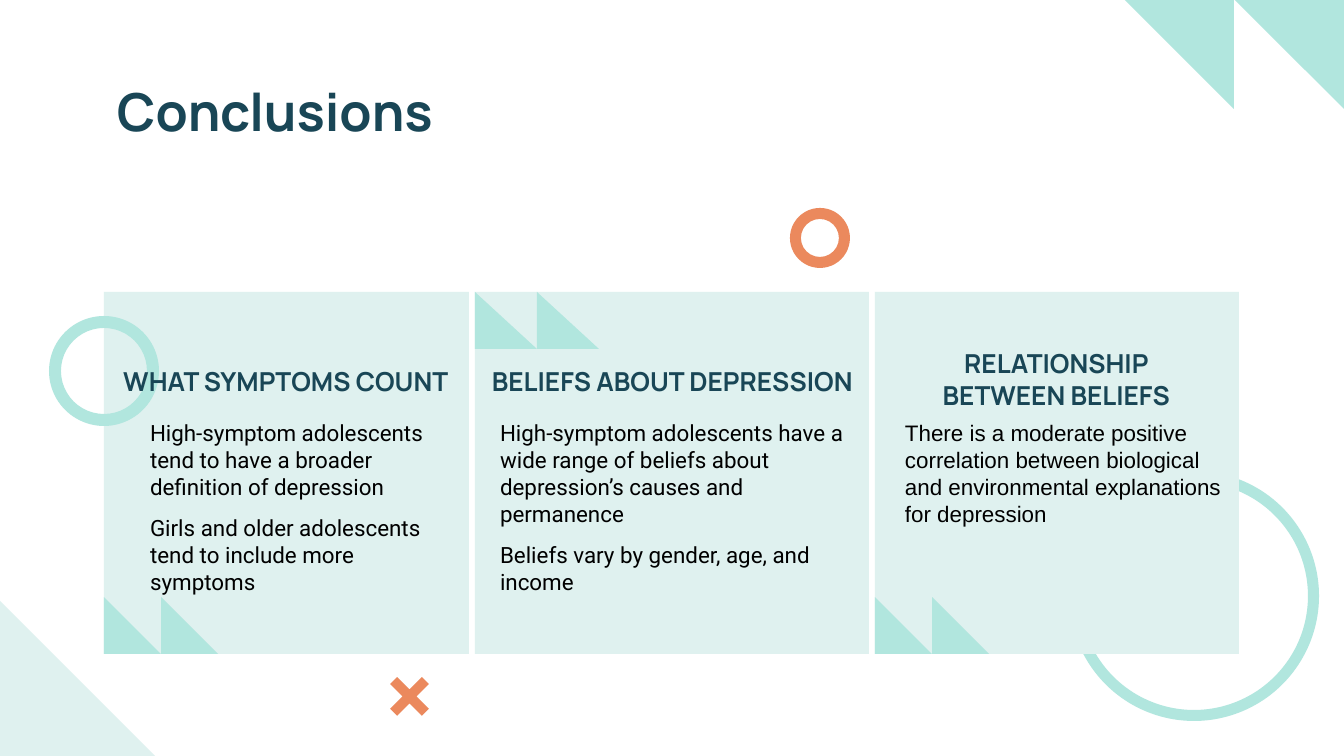
from pptx import Presentation
from pptx.dml.color import RGBColor
from pptx.enum.shapes import MSO_SHAPE as Shape
from pptx.enum.text import MSO_ANCHOR as Anchor, PP_ALIGN as Align
from pptx.util import Pt

COLORS = {"navy": "194656", "mint": "B1E6DE", "pale": "DFF1EF", "orange": "EB895D", "black": "000000"}
TITLE = "Conclusions"
CARDS = [
    {"heading": "WHAT SYMPTOMS COUNT", "heading_x": (90, 392), "body_x": (137, 301),
     "width": 365, "flag_width": 57, "flag_at_top": False, "font": "Roboto", "anchor": Anchor.TOP,
     "body": ["High-symptom adolescents tend to have a broader definition of depression",
              "Girls and older adolescents tend to include more symptoms"]},
    {"heading": "BELIEFS ABOUT DEPRESSION", "heading_x": (466, 413), "body_x": (487, 370),
     "width": 394, "flag_width": 62, "flag_at_top": True, "font": "Roboto", "anchor": Anchor.TOP,
     "body": ["High-symptom adolescents have a wide range of beliefs about depression’s causes and permanence",
              "Beliefs vary by gender, age, and income"]},
    {"heading": "RELATIONSHIP BETWEEN BELIEFS", "heading_x": (892, 329), "body_x": (892, 343),
     "width": 364, "flag_width": 57, "flag_at_top": False, "font": "Arial", "anchor": Anchor.MIDDLE,
     "body": ["There is a moderate positive correlation between biological and environmental explanations for depression"]},
]
BACK_RING = (1069, 471, 250, 11, "mint")
FRONT_RINGS = [(790, 208, 60, 11, "orange"), (49, 316, 110, 12, "mint")]
CARD_LEFT, CARD_TOP, CARD_HEIGHT, CARD_GAP = 104, 292, 362, 6
FLAG_HEIGHT = 57
HEADING_TOP, HEADING_HEIGHT, BODY_TOP, BODY_HEIGHT = 352, 54, 406, 188
INSET = 13
FORMATS = {
    "title": {"size": Pt(28), "bold": True, "name": "Manrope"},
    "heading": {"size": Pt(14), "bold": True, "name": "Manrope"},
    "body": {"size": Pt(12), "bold": False},
}
SCALE = 914400 / 134.4


def px(value):
    return round(value * SCALE)


def add_piece(slide, kind, box, color, rotation=0, adjustment=None):
    piece = slide.shapes.add_shape(kind, *map(px, box))
    piece.shadow.inherit = False
    piece.fill.solid()
    piece.fill.fore_color.rgb = RGBColor.from_string(COLORS[color])
    piece.line.fill.background()
    piece.rotation = rotation
    if adjustment is not None:
        piece.adjustments[0] = adjustment


def add_ring(slide, left, top, size, thickness, color):
    add_piece(slide, Shape.DONUT, (left, top, size, size), color, adjustment=thickness / size)


def add_text(slide, box, paragraphs, font, color, align=Align.LEFT, anchor=Anchor.TOP, after=8):
    frame = slide.shapes.add_textbox(*map(px, box)).text_frame
    settings = {"word_wrap": True, "vertical_anchor": anchor}
    settings.update({f"margin_{side}": px(INSET) for side in ("left", "top", "right", "bottom")})
    for key, value in settings.items():
        setattr(frame, key, value)
    for index, words in enumerate(paragraphs):
        paragraph = frame.add_paragraph() if index else frame.paragraphs[0]
        paragraph.alignment = align
        paragraph.space_after = Pt(after)
        run = paragraph.add_run()
        run.text = words
        for key, value in font.items():
            setattr(run.font, key, value)
        run.font.color.rgb = RGBColor.from_string(COLORS[color])


def main():
    deck = Presentation()
    deck.slide_width, deck.slide_height = px(1344), px(756)
    slide = deck.slides.add_slide(deck.slide_layouts[6])

    for left in (1235, 1125):
        add_piece(slide, Shape.RIGHT_TRIANGLE, (left, 0, 109, 109), "mint", rotation=180)
    add_piece(slide, Shape.RIGHT_TRIANGLE, (0, 601, 155, 155), "pale")
    add_text(slide, (104, 66, 1136, 85), [TITLE], FORMATS["title"], "navy", after=0)
    add_ring(slide, *BACK_RING)

    left = CARD_LEFT
    for card in CARDS:
        add_piece(slide, Shape.RECTANGLE, (left, CARD_TOP, card["width"], CARD_HEIGHT), "pale")
        flag_top = CARD_TOP if card["flag_at_top"] else CARD_TOP + CARD_HEIGHT - FLAG_HEIGHT
        for step in range(2):
            flag_left = left + step * card["flag_width"]
            add_piece(slide, Shape.RIGHT_TRIANGLE, (flag_left, flag_top, card["flag_width"], FLAG_HEIGHT), "mint")
        body_left, body_width = card["body_x"]
        add_text(slide, (body_left, BODY_TOP, body_width, BODY_HEIGHT), card["body"],
                 {**FORMATS["body"], "name": card["font"]}, "black")
        left += card["width"] + CARD_GAP

    for ring in FRONT_RINGS:
        add_ring(slide, *ring)
    add_piece(slide, Shape.CROSS, (387, 674, 45, 45), "orange", rotation=45, adjustment=0.39)

    for card in CARDS:
        heading_left, heading_width = card["heading_x"]
        add_text(slide, (heading_left, HEADING_TOP, heading_width, HEADING_HEIGHT), [card["heading"]],
                 FORMATS["heading"], "navy", Align.CENTER, card["anchor"])

    deck.save("out.pptx")


if __name__ == "__main__":
    main()
